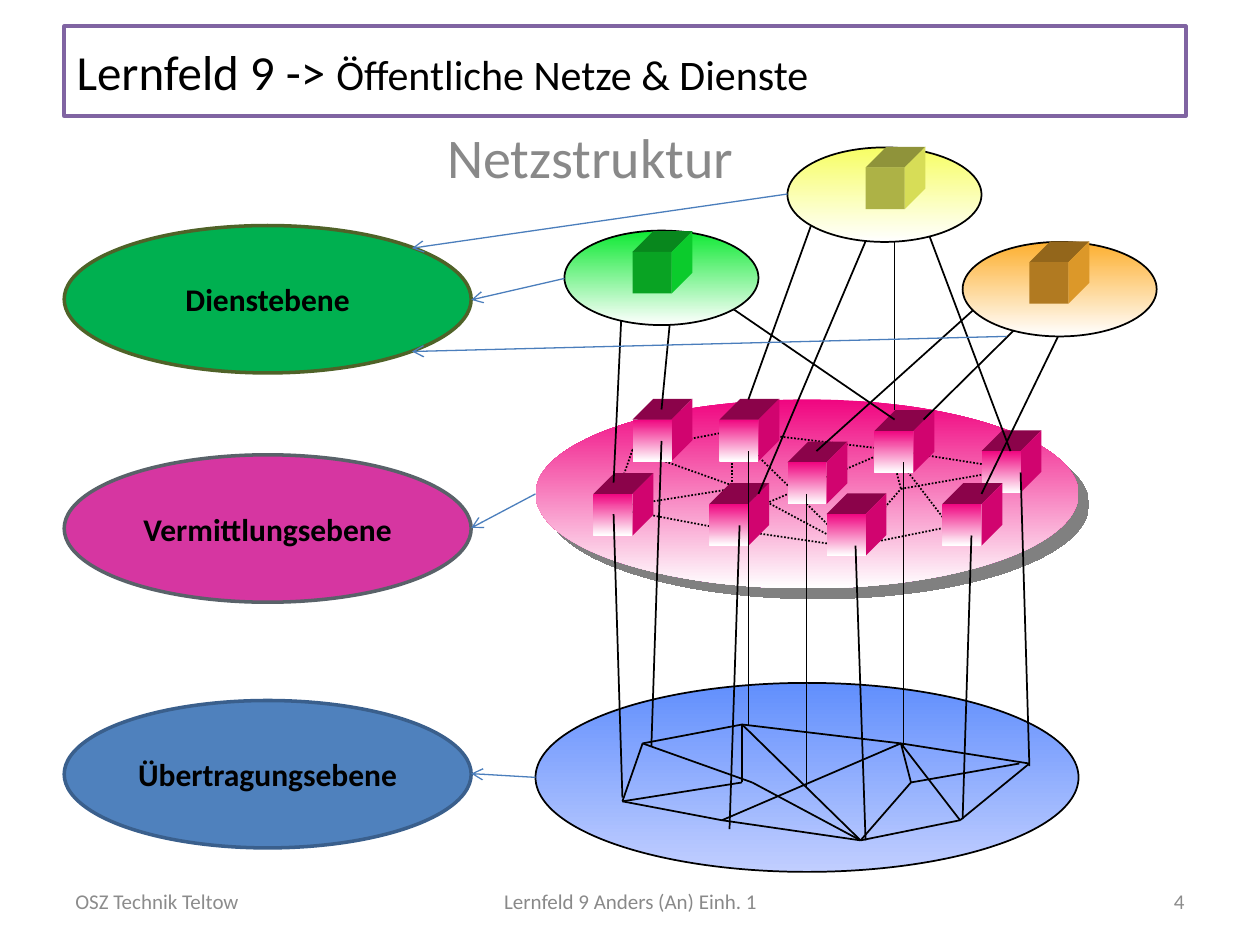
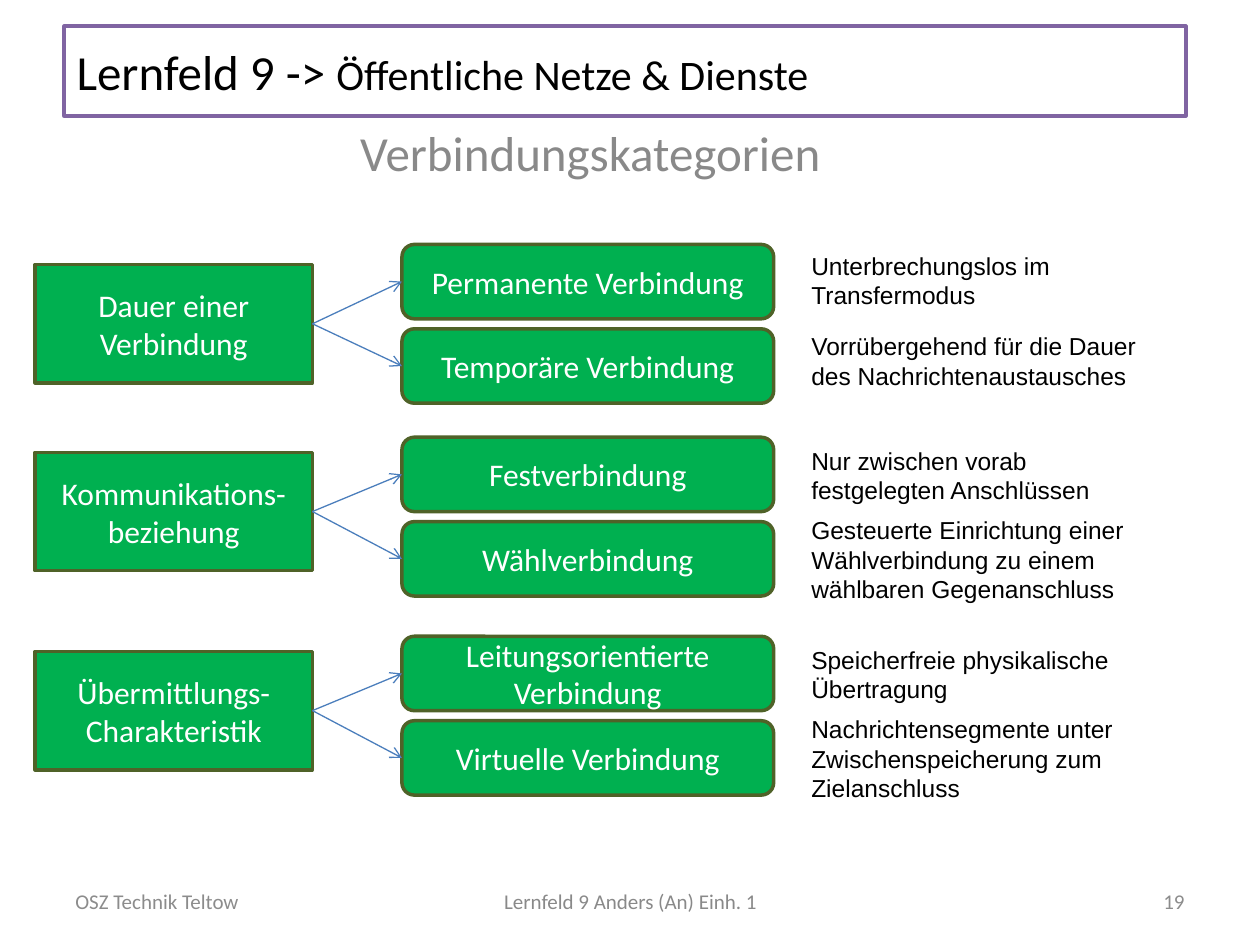
from pptx import Presentation
from pptx import util as u
from pptx.dml.color import RGBColor
from pptx.enum import dml, shapes, text
from pptx.oxml import parse_xml
from pptx.oxml.ns import nsdecls

COLORS = {
    "black": "000000", "white": "FFFFFF", "frame": "8064A2",
    "subtitle": "898989", "footer": "8C8C8C", "arrow": "4B7EBC",
    "green": "00B050", "green_edge": "4F6228",
    "magenta": "D636A1", "magenta_edge": "596269",
    "blue": "4F81BD", "blue_edge": "3A5F8C",
    "pink": "F00580", "sky": "618FFD", "pale_sky": "C1CEFF",
    "lime": "0DE932", "yellow": "F7FE64", "orange": "FDAF2F",
}
SHAPE = shapes.MSO_SHAPE
LEFT, CENTER, RIGHT = (text.PP_ALIGN.LEFT, text.PP_ALIGN.CENTER, text.PP_ALIGN.RIGHT)
TOP, MIDDLE = text.MSO_ANCHOR.TOP, text.MSO_ANCHOR.MIDDLE

CUBE_WIDTH, CUBE_HEIGHT, CUBE_DEPTH = 0.31, 0.33, 0.165
FRONT_SHADE, SIDE_SHADE, TOP_SHADE = 0.7, 0.87, 0.58

# Nodes and edges of the mesh in the transmission plane
MESH_NODES = {
    "a": (5.10, 5.90), "b": (4.94, 6.36), "c": (5.89, 5.75), "d": (5.73, 6.51),
    "e": (5.97, 6.21), "f": (6.83, 6.67), "g": (7.62, 6.51), "h": (8.17, 6.06),
    "i": (7.23, 6.21), "j": (8.09, 6.06), "k": (7.15, 5.90), "m": (5.89, 6.21),
}
MESH_EDGES = "ab ac bd ae df fg gh ij kh ef dk cf ck kg bm fi mc ki".split()
SWITCHING_OFFSET = (-0.08, -2.33)

SWITCH_CUBES = [(4.71, 3.92), (5.02, 3.33), (5.71, 3.33), (5.63, 4.00), (6.56, 4.08),
                (6.94, 3.42), (7.79, 3.58), (7.48, 4.00), (6.25, 3.67)]
SWITCH_TO_TRANSMISSION = [
    ((4.87, 4.08), (4.94, 6.33)), ((5.25, 3.50), (5.17, 5.92)),
    ((5.87, 4.17), (5.79, 6.58)), ((5.94, 3.58), (5.94, 5.75)),
    ((6.40, 3.92), (6.40, 6.25)), ((7.17, 3.67), (7.17, 5.92)),
    ((6.79, 4.33), (6.87, 6.67)), ((7.71, 4.25), (7.64, 6.50)),
    ((8.10, 3.75), (8.17, 6.08)),
]
SERVICE_TO_SWITCH = [
    ((5.33, 2.42), (5.25, 3.25)), ((4.94, 2.33), (4.87, 3.83)),
    ((5.64, 2.33), (7.10, 3.33)), ((6.48, 1.67), (5.94, 3.17)),
    ((6.94, 1.75), (6.02, 3.92)), ((7.33, 1.75), (8.02, 3.58)),
    ((7.10, 3.25), (7.10, 1.75)), ((7.87, 2.33), (6.48, 3.58)),
    ((8.17, 2.50), (7.33, 3.33)), ((8.48, 2.50), (7.79, 3.92)),
]
# Colour, ellipse corner, cube corner
SERVICES = [
    ("lime", (4.48, 1.83), (5.02, 2.00)),
    ("yellow", (6.25, 1.17), (6.87, 1.33)),
    ("orange", (7.64, 1.92), (8.17, 2.08)),
]
PLANES = [("Übertragungsebene", "blue", 5.56), ("Vermittlungsebene", "magenta", 3.61),
          ("Dienstebene", "green", 1.79)]
PLANE_ARROWS = [
    ((4.48, 2.21), (3.74, 2.38)), ((6.25, 1.54), (3.27, 1.97)),
    ((7.99, 2.67), (3.27, 2.79)), ((4.25, 3.92), (3.74, 4.19)),
    ((4.25, 6.17), (3.74, 6.14)),
]

# Category, its top, then (type, top, explanation, top of explanation)
CATEGORIES = [
    ("Dauer einer\nVerbindung", 2.10, [
        ("Permanente Verbindung", 1.94, "Unterbrechungslos im\nTransfermodus", 1.94),
        ("Temporäre Verbindung", 2.61,
         "Vorrübergehend für die Dauer\ndes Nachrichtenaustausches", 2.58)]),
    ("Kommunikations-\nbeziehung", 3.59, [
        ("Festverbindung", 3.47, "Nur zwischen vorab festgelegten Anschlüssen", 3.49),
        ("Wählverbindung", 4.14,
         "Gesteuerte Einrichtung einer Wählverbindung zu einem wählbaren Gegenanschluss",
         4.04)]),
    ("Übermittlungs-\nCharakteristik", 5.17, [
        ("Leitungsorientierte Verbindung", 5.05,
         "Speicherfreie physikalische Übertragung", 5.07),
        ("Virtuelle Verbindung", 5.72,
         "Nachrichtensegmente unter Zwischenspeicherung zum\nZielanschluss", 5.62)]),
]


def rgb(color):
    """Turn a colour name or a hex string into a colour value."""
    return RGBColor.from_string(COLORS.get(color, color))


def shade(color, factor):
    return "".join(f"{round(channel * factor):02X}" for channel in rgb(color))


def write_text(shape, content, size=18, color="black", font="Calibri", bold=False,
               align=LEFT, anchor=MIDDLE):
    """Fill a shape; content is a string or a list of (string, size) runs."""
    frame = shape.text_frame
    frame.word_wrap = True
    frame.vertical_anchor = anchor
    if isinstance(content, str):
        lines = [[(line, size)] for line in content.split("\n")]
    else:
        lines = [content]
    for index, runs in enumerate(lines):
        paragraph = frame.add_paragraph() if index else frame.paragraphs[0]
        paragraph.alignment = align
        for words, run_size in runs:
            run = paragraph.add_run()
            run.text = words
            run.font.size = u.Pt(run_size)
            run.font.name = font
            run.font.bold = bold
            run.font.color.rgb = rgb(color)


def add_text(slide, box, content, **text_format):
    shape = slide.shapes.add_textbox(*map(u.Inches, box))
    write_text(shape, content, **text_format)
    return shape


def paint(shape, fill, edge=None, width=1.0):
    """Fill with one colour, or from top to bottom with a pair of colours."""
    shape.shadow.inherit = False
    if isinstance(fill, tuple):
        shape.fill.gradient()
        shape.fill.gradient_angle = 270
        for stop, color in zip(shape.fill.gradient_stops, fill):
            stop.color.rgb = rgb(color)
    else:
        shape.fill.solid()
        shape.fill.fore_color.rgb = rgb(fill)
    if edge:
        shape.line.color.rgb = rgb(edge)
        shape.line.width = u.Pt(width)
    else:
        shape.line.fill.background()


def add_box(slide, kind, box, fill, edge=None, width=1.0):
    shape = slide.shapes.add_shape(kind, *map(u.Inches, box))
    paint(shape, fill, edge, width)
    return shape


def add_line(slide, start, end, color="black", width=1.0, dotted=False, arrow=False):
    line = slide.shapes.add_connector(shapes.MSO_CONNECTOR.STRAIGHT,
                                      *map(u.Inches, (*start, *end)))
    line.line.color.rgb = rgb(color)
    line.line.width = u.Pt(width)
    if dotted:
        line.line.dash_style = dml.MSO_LINE.ROUND_DOT
    if arrow:
        line.line._get_or_add_ln().append(
            parse_xml(f'<a:tailEnd {nsdecls("a")} type="arrow"/>'))
    line._element.spPr.append(parse_xml(f'<a:effectLst {nsdecls("a")}/>'))


def add_arrow(slide, start, end):
    add_line(slide, start, end, color="arrow", width=0.75, arrow=True)


def add_polygon(slide, points, fill):
    corners = [tuple(map(u.Inches, point)) for point in points]
    builder = slide.shapes.build_freeform(*corners[0])
    builder.add_line_segments(corners[1:], close=True)
    paint(builder.convert_to_shape(), fill)


def add_cube(slide, corner, color, front):
    left, top = corner
    right, bottom = left + CUBE_WIDTH, top + CUBE_HEIGHT
    back_right, back_top = right + CUBE_DEPTH, top - CUBE_DEPTH
    add_polygon(slide, [(left, top), (left + CUBE_DEPTH, back_top),
                        (back_right, back_top), (right, top)], shade(color, TOP_SHADE))
    add_polygon(slide, [(right, top), (back_right, back_top),
                        (back_right, bottom - CUBE_DEPTH), (right, bottom)],
                shade(color, SIDE_SHADE))
    add_box(slide, SHAPE.RECTANGLE, (left, top, CUBE_WIDTH, CUBE_HEIGHT), front)


def add_mesh(slide, offset=(0, 0), dotted=False):
    nodes = {name: (x + offset[0], y + offset[1]) for name, (x, y) in MESH_NODES.items()}
    for start, end in MESH_EDGES:
        add_line(slide, nodes[start], nodes[end], dotted=dotted)


def add_hard_shadow(shape):
    effects = shape._element.spPr.find(
        "{http://schemas.openxmlformats.org/drawingml/2006/main}effectLst")
    effects.append(parse_xml(
        f'<a:outerShdw {nsdecls("a")} dist="107950" dir="2700000" algn="ctr" '
        'rotWithShape="0"><a:srgbClr val="808080"/></a:outerShdw>'))


def add_content_slide(presentation, subtitle, subtitle_size, number):
    """Add a slide with the framed title, the subtitle and the footer."""
    slide = presentation.slides.add_slide(presentation.slide_layouts[6])
    title = add_text(slide, (0.51, 0.21, 8.9, 0.71),
                     [("Lernfeld 9 -> ", 28), ("Öffentliche Netze & Dienste", 24)])
    title.line.color.rgb = rgb("frame")
    title.line.width = u.Pt(2.25)
    add_text(slide, (0.51, 0.92, 8.35, 0.71), subtitle, size=subtitle_size,
             color="subtitle", align=CENTER, anchor=TOP)
    for left, width, content, color, align in (
            (0.5, 2.33, "OSZ Technik Teltow", "footer", LEFT),
            (3.42, 3.17, "Lernfeld 9 Anders (An) Einh. 1", "subtitle", CENTER),
            (7.17, 2.33, str(number), "footer", RIGHT)):
        add_text(slide, (left, 6.95, width, 0.4), content, size=12, color=color, align=align)
    return slide


def build_network_structure(presentation):
    slide = add_content_slide(presentation, "Netzstruktur", 32, 4)
    add_box(slide, SHAPE.OVAL, (4.25, 5.42, 4.31, 1.5), ("sky", "pale_sky"), "black")
    add_mesh(slide)

    switching = add_box(slide, SHAPE.OVAL, (4.25, 3.17, 4.31, 1.5), ("pink", "white"))
    add_hard_shadow(switching)
    add_mesh(slide, SWITCHING_OFFSET, dotted=True)
    for corner in SWITCH_CUBES:
        add_cube(slide, corner, "pink", front=("pink", "white"))

    for start, end in SWITCH_TO_TRANSMISSION + SERVICE_TO_SWITCH:
        add_line(slide, start, end)
    for color, ellipse_corner, _ in SERVICES:
        add_box(slide, SHAPE.OVAL, (*ellipse_corner, 1.54, 0.75), (color, "white"), "black")
    for color, _, cube_corner in SERVICES:
        add_cube(slide, cube_corner, color, front=shade(color, FRONT_SHADE))

    for name, color, top in PLANES:
        plane = add_box(slide, SHAPE.OVAL, (0.51, top, 3.23, 1.17), color, f"{color}_edge", 2)
        write_text(plane, name, bold=True, align=CENTER)
    for start, end in PLANE_ARROWS:
        add_arrow(slide, start, end)


def build_connection_categories(presentation):
    slide = add_content_slide(presentation, "Verbindungskategorien", 28, 19)
    category_left, category_width, category_height = 0.28, 2.2, 0.94
    type_left, type_width, type_height = 3.19, 2.95, 0.59

    def add_label(kind, box, content):
        label = add_box(slide, kind, box, "green", "green_edge", 2)
        write_text(label, content, color="white", align=CENTER)

    for category, category_top, types in CATEGORIES:
        add_label(SHAPE.RECTANGLE,
                  (category_left, category_top, category_width, category_height), category)
        start = (category_left + category_width, category_top + category_height / 2)
        for name, top, explanation, explanation_top in types:
            add_label(SHAPE.ROUNDED_RECTANGLE, (type_left, top, type_width, type_height), name)
            add_text(slide, (6.34, explanation_top, 2.91, 0.57), explanation, size=14,
                     font="Arial", anchor=TOP)
            add_arrow(slide, start, (type_left, top + type_height / 2))


def main():
    presentation = Presentation()
    presentation.slide_width = u.Inches(10)
    presentation.slide_height = u.Inches(7.5)
    build_network_structure(presentation)
    build_connection_categories(presentation)
    presentation.save("out.pptx")


if __name__ == "__main__":
    main()
